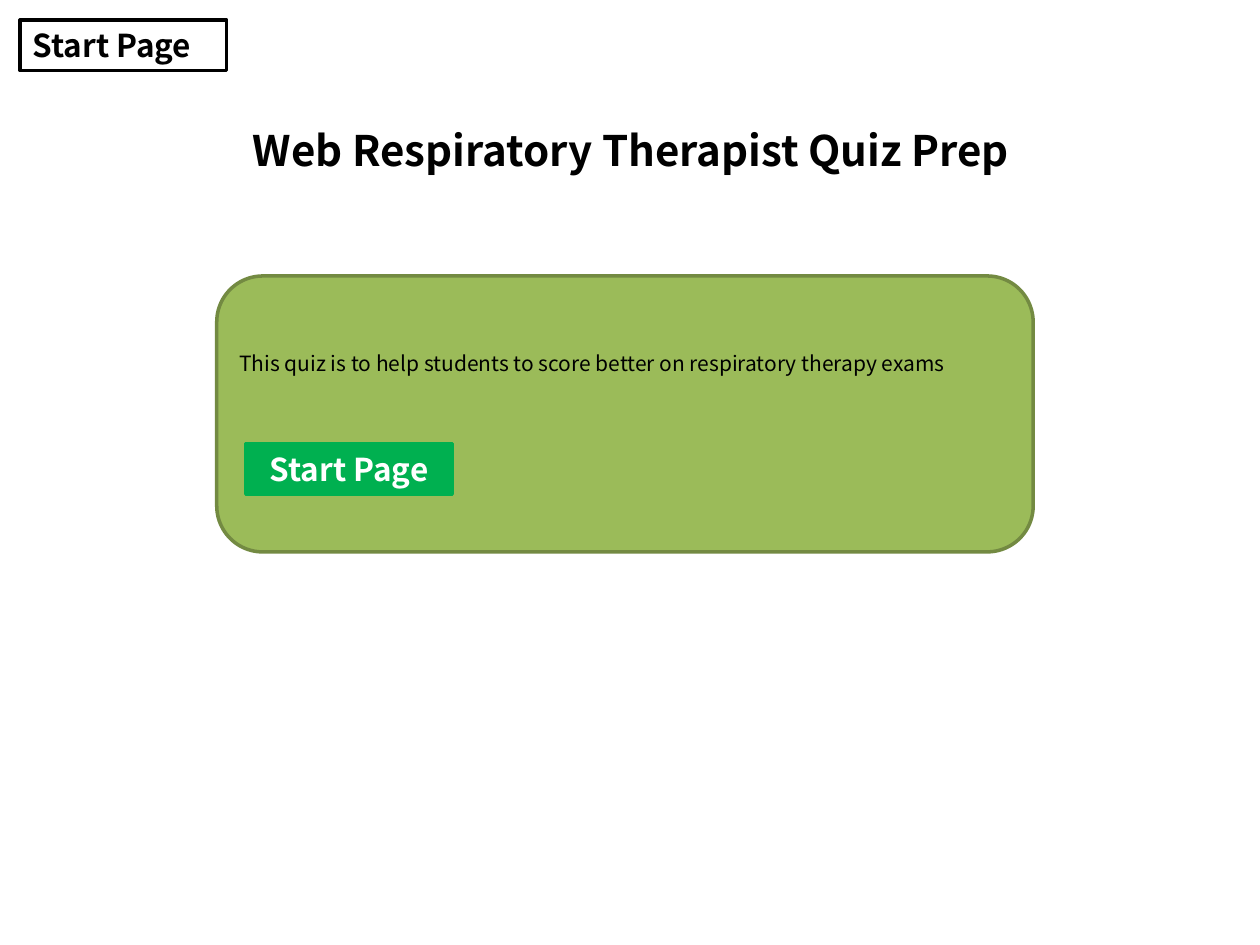
"""Build the start page of a respiratory therapist quiz."""
from pptx import Presentation
from pptx import util as u
from pptx.dml.color import RGBColor
from pptx.enum import shapes, text

FONT = "Noto Sans CJK KR"
BLACK = RGBColor(0x00, 0x00, 0x00)
WHITE = RGBColor(0xFF, 0xFF, 0xFF)
OLIVE = RGBColor(0x9B, 0xBB, 0x59)
DARK_OLIVE = RGBColor(0x73, 0x8A, 0x42)
GREEN = RGBColor(0x00, 0xB0, 0x50)
RECTANGLE = shapes.MSO_SHAPE.RECTANGLE
ROUNDED = shapes.MSO_SHAPE.ROUNDED_RECTANGLE
LEFT = text.PP_ALIGN.LEFT
CENTER = text.PP_ALIGN.CENTER


def add_box(page, kind, place, fill, line=None):
    """Add a filled shape with an optional outline."""
    box = page.shapes.add_shape(kind, *map(u.Inches, place))
    box.shadow.inherit = False
    box.fill.solid()
    box.fill.fore_color.rgb = fill
    if line is None:
        box.line.fill.background()
    else:
        box.line.color.rgb = line
        box.line.width = u.Pt(2)
    return box


def write(box, words, size, color=BLACK, bold=False, align=LEFT):
    """Write one line of text in the vertical middle of a box."""
    frame = box.text_frame
    frame.word_wrap = True
    frame.vertical_anchor = text.MSO_ANCHOR.MIDDLE
    para = frame.paragraphs[0]
    para.alignment = align
    span = para.add_run()
    span.text = words
    span.font.name = FONT
    span.font.size = u.Pt(size)
    span.font.bold = bold
    span.font.color.rgb = color


def main():
    """Draw the page and save the deck."""
    deck = Presentation()
    deck.slide_width, deck.slide_height = u.Inches(10), u.Inches(7.5)
    page = deck.slides.add_slide(deck.slide_layouts[6])

    label = add_box(page, RECTANGLE, (0.16, 0.16, 1.64, 0.4), WHITE, BLACK)
    write(label, "Start Page", 18, bold=True)

    title = add_box(page, RECTANGLE, (1.8, 0.94, 6.41, 0.5), WHITE)
    write(title, "Web Respiratory Therapist Quiz Prep", 24, bold=True, align=CENTER)

    add_box(page, ROUNDED, (1.72, 2.19, 6.48, 2.19), OLIVE, DARK_OLIVE)

    intro = page.shapes.add_textbox(*map(u.Inches, (1.8, 2.73, 6.41, 0.3)))
    write(intro, "This quiz is to help students to score better on "
                 "respiratory therapy exams", 12)

    button = add_box(page, RECTANGLE, (1.95, 3.52, 1.64, 0.4), GREEN, GREEN)
    write(button, "Start Page", 18, WHITE, True, CENTER)

    deck.save("out.pptx")


main()
